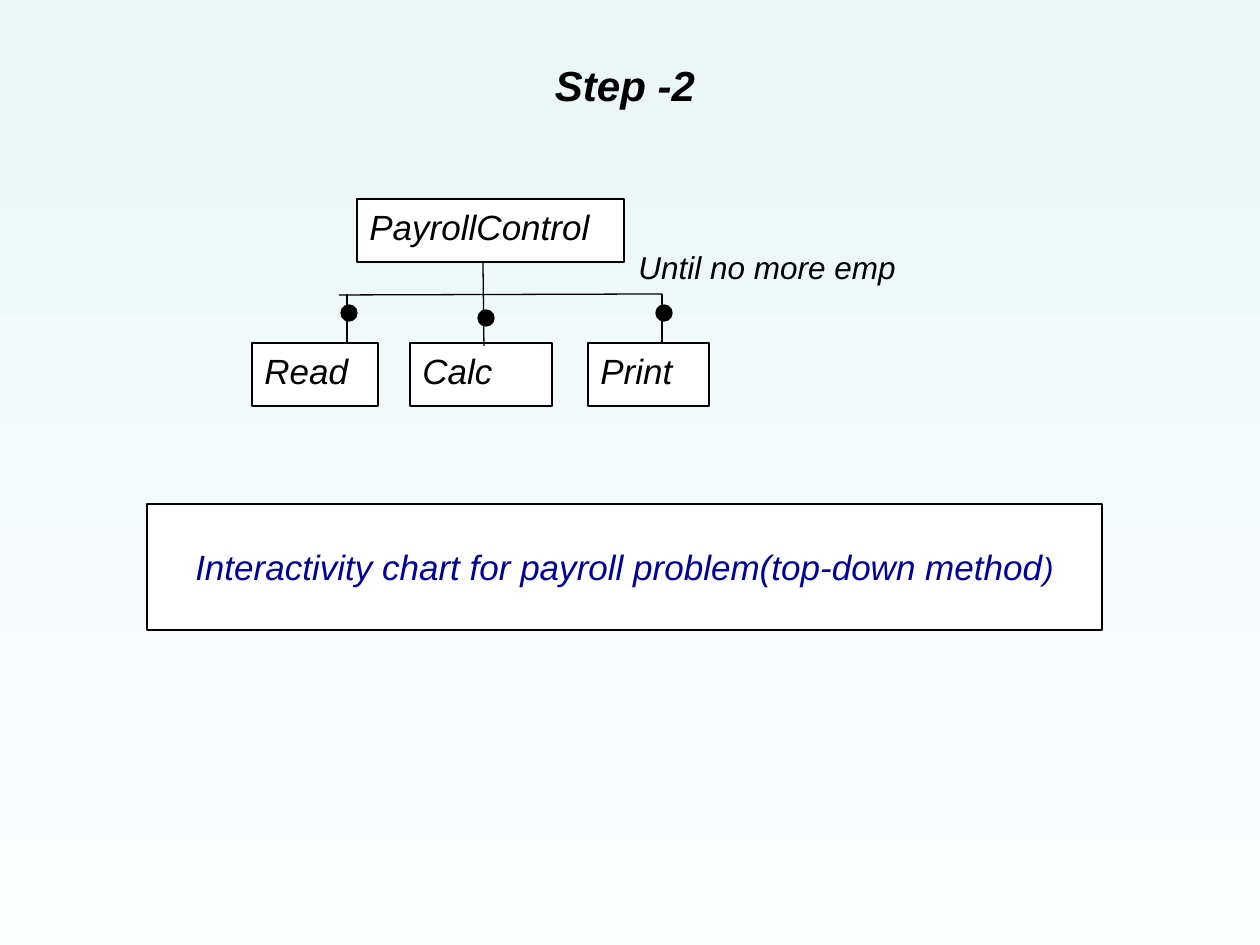
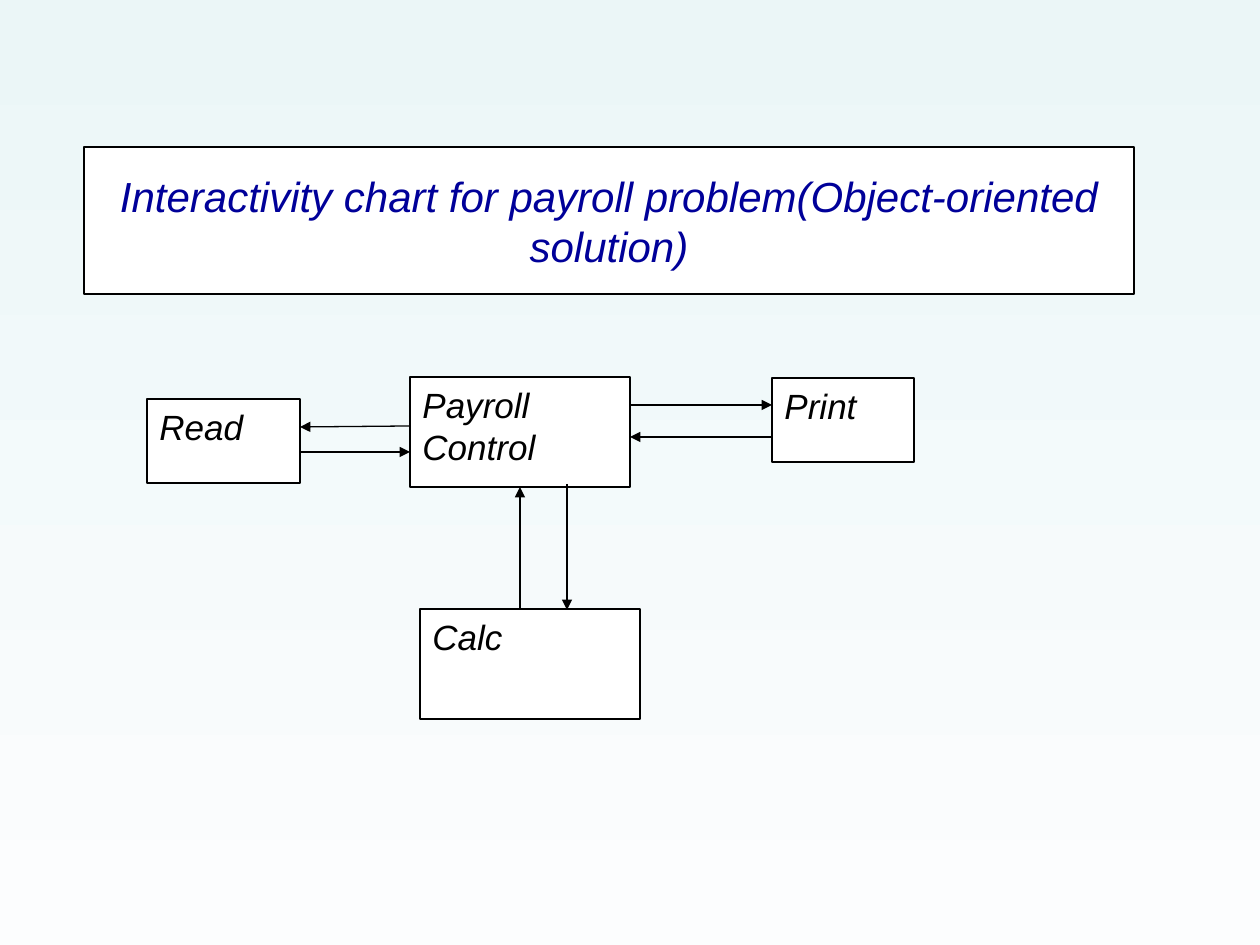
from dataclasses import dataclass

from lxml.etree import SubElement
from pptx import Presentation
from pptx.dml.color import RGBColor
from pptx.enum.shapes import MSO_CONNECTOR, MSO_SHAPE
from pptx.enum.text import MSO_ANCHOR, MSO_AUTO_SIZE, PP_ALIGN
from pptx.oxml.ns import qn
from pptx.util import Inches, Pt

SCALE = Inches(1) / 126
TITLE_ONLY = 5


@dataclass(frozen=True)
class Theme:
    font: str = "Arial"
    ink: RGBColor = RGBColor(0, 0, 0)
    paper: RGBColor = RGBColor(255, 255, 255)
    accent: RGBColor = RGBColor(0, 0, 0x99)
    sky: RGBColor = RGBColor(0xEB, 0xF6, 0xF7)
    haze: RGBColor = RGBColor(0xFC, 0xFD, 0xFE)
    head: int = 24
    body: int = 20
    small: int = 18
    rule: float = 0.75


def emu(*sizes):
    return [round(size * SCALE) for size in sizes]


class Deck:
    def __init__(self, theme):
        self.theme = theme
        self.prs = Presentation()
        self.prs.slide_width, self.prs.slide_height = emu(1260, 945)
        self.slide = None
        fill = self.prs.slide_master.background.fill
        fill.gradient()
        fill.gradient_angle = 270
        for stop, color in zip(fill.gradient_stops, (theme.sky, theme.haze)):
            stop.color.rgb = color

    def start(self):
        layout = self.prs.slide_layouts[TITLE_ONLY]
        self.slide = self.prs.slides.add_slide(layout)

    def outline(self, shape, fill):
        shape.fill.solid()
        shape.fill.fore_color.rgb = fill
        self.stroke(shape.line)

    def stroke(self, line):
        line.color.rgb = self.theme.ink
        line.width = Pt(self.theme.rule)

    def label(self, shape, text, size, color=None, bold=False,
              align=PP_ALIGN.CENTER, anchor=MSO_ANCHOR.TOP):
        frame = shape.text_frame
        frame.text = text
        frame.word_wrap = True
        frame.auto_size = MSO_AUTO_SIZE.NONE
        frame.vertical_anchor = anchor
        frame.margin_left = frame.margin_right = Inches(0.1)
        frame.margin_top = frame.margin_bottom = Inches(0.05)
        for para in frame.paragraphs:
            para.alignment = align
            font = para.font
            font.name = self.theme.font
            font.size = Pt(size)
            font.bold = bold
            font.italic = True
            font.color.rgb = color or self.theme.ink

    def title(self, text, x, y, w, h, **style):
        shape = self.slide.shapes.title
        shape.left, shape.top, shape.width, shape.height = emu(x, y, w, h)
        self.label(shape, text, self.theme.head, **style)
        return shape

    def shape(self, kind, x, y, w, h, fill):
        shape = self.slide.shapes.add_shape(kind, *emu(x, y, w, h))
        shape.shadow.inherit = False
        self.outline(shape, fill)
        return shape

    def box(self, text, x, y, w, h, **style):
        shape = self.shape(MSO_SHAPE.RECTANGLE, x, y, w, h, self.theme.paper)
        self.label(shape, text, self.theme.body,
                   **{"align": PP_ALIGN.LEFT, **style})
        return shape

    def dot(self, x, y, size=16):
        self.shape(MSO_SHAPE.OVAL, x, y, size, size, self.theme.ink)

    def note(self, text, x, y, w, h):
        shape = self.slide.shapes.add_textbox(*emu(x, y, w, h))
        self.label(shape, text, self.theme.small)

    def line(self, x1, y1, x2, y2, arrow=False):
        link = self.slide.shapes.add_connector(
            MSO_CONNECTOR.STRAIGHT, *emu(x1, y1, x2, y2))
        self.stroke(link.line)
        props = link._element.spPr
        if arrow:
            SubElement(props.find(qn("a:ln")), qn("a:tailEnd"), type="triangle")
        SubElement(props, qn("a:effectLst"))
        return link


def draw_tree(deck):
    """Top-down call tree of the payroll program."""
    deck.start()
    deck.title("Step -2", 525, 53, 200, 63, bold=True)
    deck.box("PayrollControl", 357, 199, 267, 63)
    for name, x, w in (("Read", 252, 126), ("Calc", 410, 142), ("Print", 588, 121)):
        deck.box(name, x, 343, w, 63)

    deck.line(483, 262, 484, 346)
    deck.line(339, 295, 662, 294)
    for x in (347, 662):
        deck.line(x, 294, x, 343)
    for x, y in ((341, 305), (478, 310), (656, 305)):
        deck.dot(x, y)

    theme = deck.theme
    banner = deck.box("Interactivity chart for payroll problem(top-down method",
                      147, 504, 955, 126, color=theme.accent,
                      align=PP_ALIGN.CENTER, anchor=MSO_ANCHOR.MIDDLE)
    end = banner.text_frame.paragraphs[0].add_run()
    end.text = ")"
    end.font.size = Pt(theme.small)
    deck.note("Until no more emp", 620, 242, 294, 108)


def draw_objects(deck):
    """Objects of the payroll program and the messages between them."""
    deck.start()
    title = deck.title(
        "Interactivity chart for payroll problem(Object-oriented solution)",
        84, 147, 1050, 147, color=deck.theme.accent, anchor=MSO_ANCHOR.MIDDLE)
    deck.outline(title, deck.theme.paper)

    control = deck.box("Payroll\nControl", 410, 377, 220, 110)
    deck.box("Read", 147, 399, 153, 84)
    deck.box("Print", 772, 378, 142, 84)
    deck.box("Calc", 420, 609, 220, 110)

    for ends in ((410, 426, 300, 427), (300, 452, 410, 452),
                 (630, 405, 772, 405), (772, 437, 630, 437),
                 (567, 484, 567, 610)):
        deck.line(*ends, arrow=True)
    reply = deck.line(520, 610, 520, 487, arrow=True)
    reply.end_connect(control, 2)


def main():
    deck = Deck(Theme())
    draw_tree(deck)
    draw_objects(deck)
    deck.prs.save("out.pptx")


if __name__ == "__main__":
    main()
